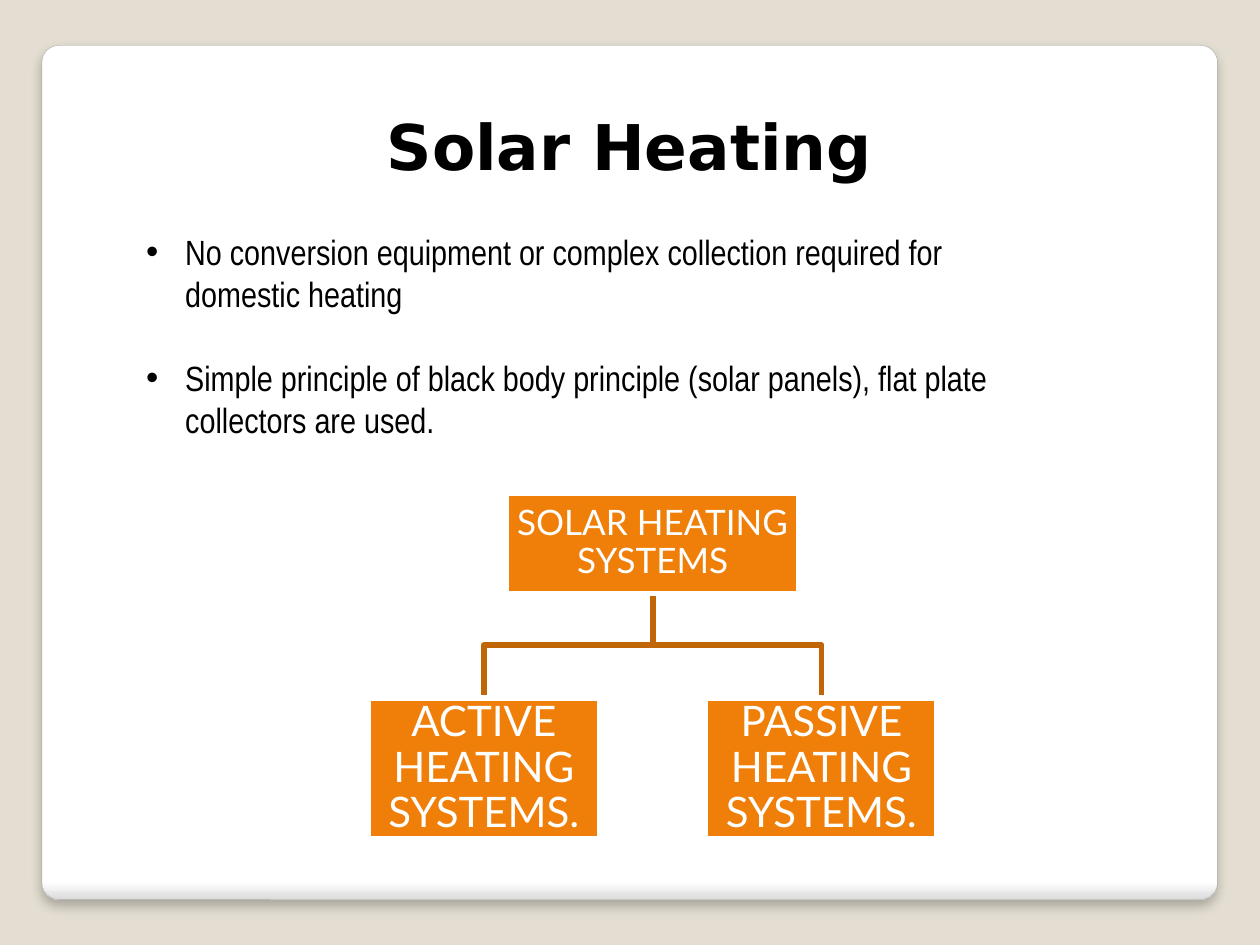
from lxml.etree import SubElement
from pptx import Presentation
from pptx.dml.color import RGBColor
from pptx.enum.shapes import MSO_SHAPE
from pptx.enum.text import MSO_ANCHOR, MSO_AUTO_SIZE, PP_ALIGN
from pptx.oxml import parse_xml
from pptx.oxml.ns import nsdecls, qn
from pptx.util import Inches, Pt

BLACK = RGBColor(0x00, 0x00, 0x00)
WHITE = RGBColor(0xFF, 0xFF, 0xFF)
SAND = RGBColor(0xE3, 0xDE, 0xD1)
PANEL_EDGE = RGBColor(0xDA, 0xDA, 0xDA)
PANEL_LINE = RGBColor(0xA4, 0xA4, 0xA4)
ORANGE = RGBColor(0xF0, 0x7F, 0x09)
BROWN = RGBColor(0xC0, 0x66, 0x07)

prs = Presentation()
prs.slide_width, prs.slide_height = Inches(10), Inches(7.5)


def share(x, y):
    """Turn percentages of the slide's width and height into lengths."""
    return int(prs.slide_width * x / 100), int(prs.slide_height * y / 100)


def set_text(p, text, **font):
    r = p.add_run()
    r.text = text
    r.font.color.rgb = font.pop("color")
    for name, value in font.items():
        setattr(r.font, name, value)


s = prs.slides.add_slide(prs.slide_layouts[1])
s.background.fill.solid()
s.background.fill.fore_color.rgb = SAND

# Rounded panel behind everything
panel = s.shapes.add_shape(MSO_SHAPE.ROUNDED_RECTANGLE, *share(3.33, 4.8), *share(93.3, 90.4))
panel.adjustments[0] = 0.02
panel.fill.gradient()
panel.fill.gradient_angle = 270
for stop, position, color in zip(panel.fill.gradient_stops, (0.98, 1), (WHITE, PANEL_EDGE)):
    stop.position, stop.color.rgb = position, color
panel.line.color.rgb = PANEL_LINE
panel.line.width = Pt(0.16)
panel._element.spPr.append(parse_xml(
    f'<a:effectLst {nsdecls("a")}>'
    '<a:outerShdw blurRad="76200" dist="50800" dir="5400000" algn="t" rotWithShape="0">'
    '<a:srgbClr val="000000"><a:alpha val="25000"/></a:srgbClr>'
    '</a:outerShdw></a:effectLst>'))
s.shapes._spTree.insert(2, panel._element)

# Title and list
title, body = s.shapes.title, s.placeholders[1]
for sp, corner, size in ((title, (14.7, 10.67), (70.5, 19.2)),
                         (body, (10.6, 23.73), (72.2, 28.27))):
    sp.left, sp.top = share(*corner)
    sp.width, sp.height = share(*size)
    for name, value in {"auto_size": MSO_AUTO_SIZE.NONE, "word_wrap": True,
                        "vertical_anchor": MSO_ANCHOR.TOP}.items():
        setattr(sp.text_frame, name, value)

p = title.text_frame.paragraphs[0]
p.alignment = PP_ALIGN.CENTER
set_text(p, "Solar Heating", name="DejaVu Sans", size=Pt(36), bold=True, color=BLACK)

points = (
    "No conversion equipment or complex collection required for domestic heating",
    "Simple principle of black body principle (solar panels), flat plate collectors are used.",
)
tf = body.text_frame
for i, point in enumerate(points):
    p = tf.add_paragraph() if i else tf.paragraphs[0]
    p.space_before = Pt(24 * i)
    pPr = p._p.get_or_add_pPr()
    pPr.set("marL", str(Inches(0.31)))
    pPr.set("indent", str(-Inches(0.31)))
    SubElement(pPr, qn("a:buFont"), typeface="Arial")
    SubElement(pPr, qn("a:buChar"), char="•")
    set_text(p, point, name="Arial Narrow", size=Pt(20), color=BLACK)

# Tree: one root, two branches set evenly to its left and right
CENTER, SPREAD = 51.8, 13.4
ROOT_TOP, ROOT_BOTTOM, FORK, BRANCH_TOP = 52.13, 62.8, 68.27, 73.87
branch_centers = (CENTER - SPREAD, CENTER + SPREAD)

for x in branch_centers:
    path = s.shapes.build_freeform(*share(CENTER, ROOT_BOTTOM))
    path.add_line_segments([share(CENTER, FORK), share(x, FORK), share(x, BRANCH_TOP)],
                           close=False)
    sp = path.convert_to_shape()
    sp.shadow.inherit = False
    sp.fill.background()
    sp.line.color.rgb = BROWN
    sp.line.width = Pt(3.35)

boxes = (
    ("SOLAR HEATING SYSTEMS", CENTER, ROOT_TOP, 23.2, ROOT_BOTTOM - ROOT_TOP, 20),
    ("ACTIVE HEATING SYSTEMS.", branch_centers[0], BRANCH_TOP, 18.4, 14.93, 24),
    ("PASSIVE HEATING SYSTEMS.", branch_centers[1], BRANCH_TOP, 18.4, 14.93, 24),
)
for text, x, y, w, h, size in boxes:
    sp = s.shapes.add_shape(MSO_SHAPE.RECTANGLE, *share(x - w / 2, y), *share(w, h))
    sp.shadow.inherit = False
    sp.fill.solid()
    sp.fill.fore_color.rgb = ORANGE
    sp.line.color.rgb = WHITE
    sp.line.width = Pt(3.35)
    tf = sp.text_frame
    tf.word_wrap = True
    tf.vertical_anchor = MSO_ANCHOR.MIDDLE
    for side in ("left", "top", "right", "bottom"):
        setattr(tf, f"margin_{side}", Inches(0.01))
    p = tf.paragraphs[0]
    p.alignment = PP_ALIGN.CENTER
    p.line_spacing = 0.9
    set_text(p, text, name="Lato", size=Pt(size), color=WHITE)

prs.save("out.pptx")
